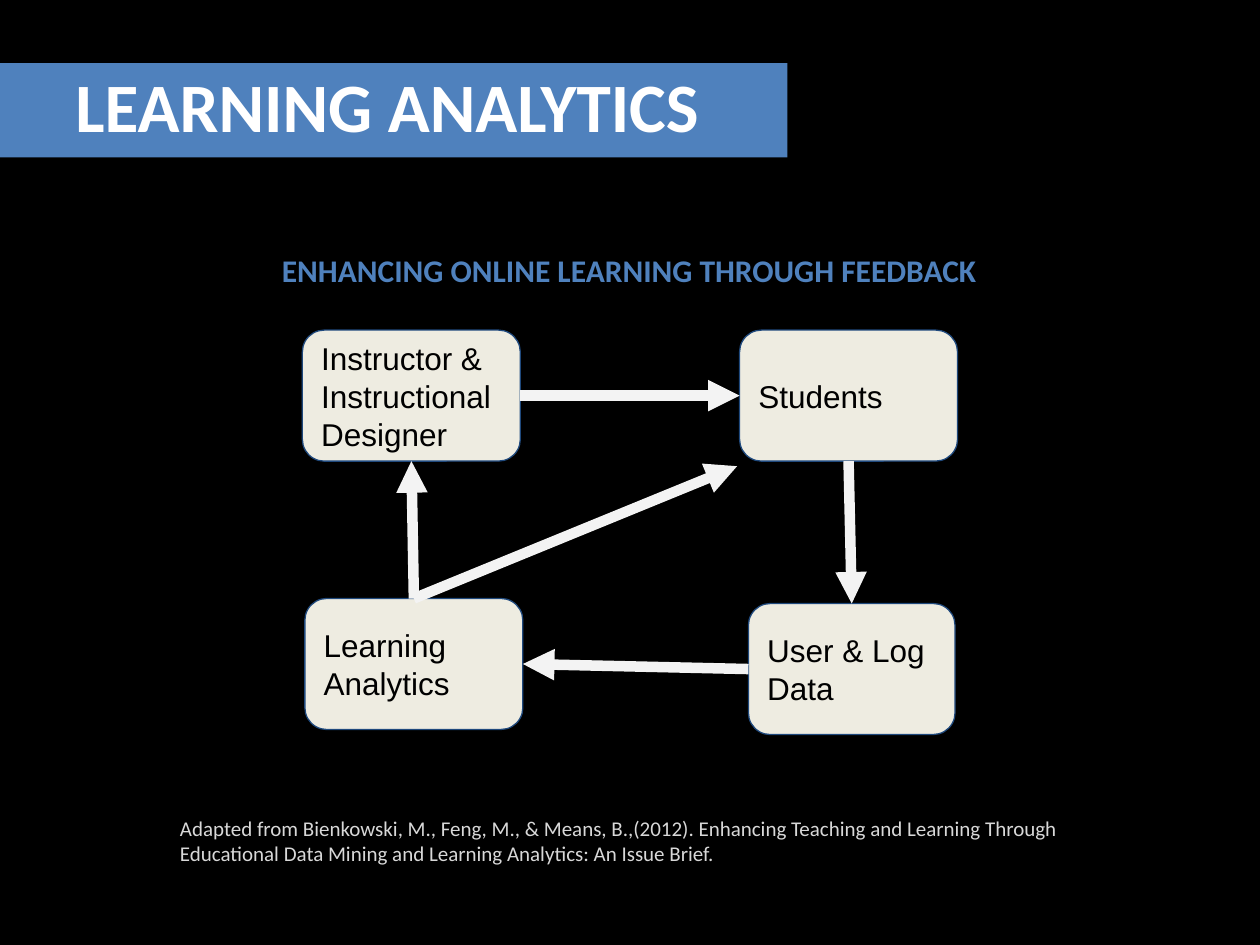
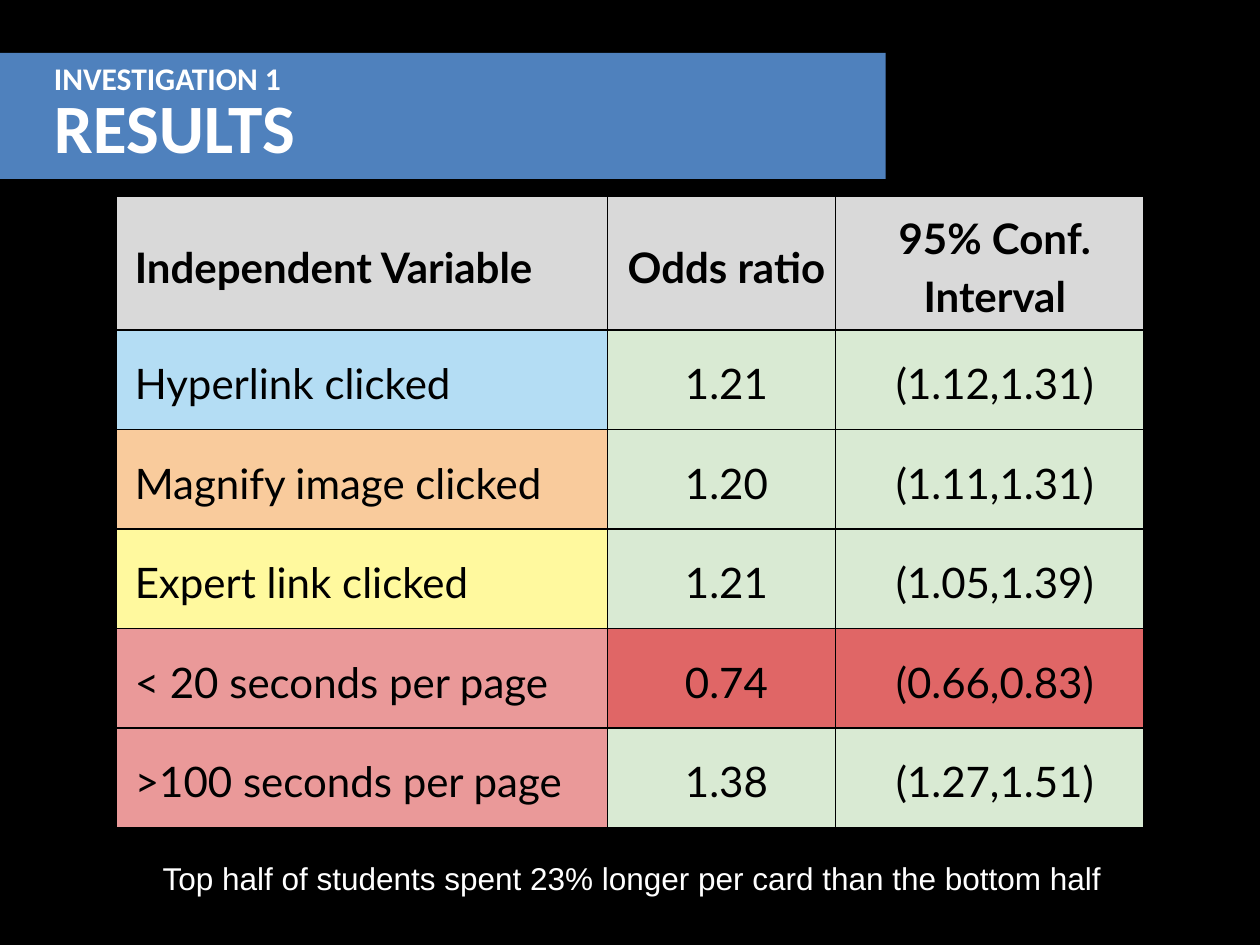
from dataclasses import dataclass
from typing import Any

from lxml import etree
from pptx import Presentation
from pptx.dml.color import RGBColor
from pptx.enum.shapes import MSO_CONNECTOR, MSO_SHAPE
from pptx.enum.text import MSO_ANCHOR, PP_ALIGN
from pptx.oxml.ns import qn
from pptx.util import Inches, Pt

RECTANGLE, ROUNDED = MSO_SHAPE.RECTANGLE, MSO_SHAPE.ROUNDED_RECTANGLE
STRAIGHT = MSO_CONNECTOR.STRAIGHT
TOP, MIDDLE = MSO_ANCHOR.TOP, MSO_ANCHOR.MIDDLE
LEFT, CENTER = PP_ALIGN.LEFT, PP_ALIGN.CENTER
# Connection sites of a rectangle
SITE_TOP, SITE_LEFT, SITE_BOTTOM, SITE_RIGHT = range(4)

BLACK = RGBColor(0x00, 0x00, 0x00)
WHITE = RGBColor(0xFF, 0xFF, 0xFF)
BLUE = RGBColor(0x4F, 0x81, 0xBD)
NAVY = RGBColor(0x1F, 0x49, 0x7D)
CREAM = RGBColor(0xEE, 0xEC, 0xE1)
ARROW_GREY = RGBColor(0xF3, 0xF3, 0xF3)
CITATION_GREY = RGBColor(0xD8, 0xD8, 0xD8)
HEADER_GREY = RGBColor(0xD9, 0xD9, 0xD9)
SKY = RGBColor(0xB4, 0xDD, 0xF4)
ORANGE = RGBColor(0xF9, 0xCB, 0x9C)
YELLOW = RGBColor(0xFF, 0xF9, 0x9E)
PINK = RGBColor(0xEA, 0x99, 0x99)
GREEN = RGBColor(0xD9, 0xEA, 0xD3)
RED = RGBColor(0xE0, 0x66, 0x66)


@dataclass(frozen=True)
class TextStyle:
    size: float
    font: str
    color: RGBColor
    bold: bool = False
    align: Any = LEFT


@dataclass(frozen=True)
class Box:
    left: float
    top: float
    width: float
    height: float

    def lengths(self) -> list:
        return [Inches(v) for v in (self.left, self.top, self.width, self.height)]


@dataclass(frozen=True)
class Step:
    text: str
    box: Box


@dataclass(frozen=True)
class Arrow:
    start: str
    start_site: int
    end: str
    end_site: int


@dataclass(frozen=True)
class ResultRow:
    variable: str
    odds: str
    interval: str
    variable_fill: RGBColor
    value_fill: RGBColor = GREEN


TITLE = TextStyle(39.6, "Calibri", WHITE, True)
KICKER = TextStyle(18, "Calibri", WHITE, True)
HEADING = TextStyle(18, "Calibri", BLUE, True, CENTER)
CITATION = TextStyle(12, "Calibri", CITATION_GREY)
STEP_TEXT = TextStyle(18, "Arial", BLACK)
FINDING = TextStyle(18, "Arial", WHITE, align=CENTER)

STEPS = {
    "instructor": Step("Instructor &\nInstructional Designer", Box(2.4, 2.62, 1.73, 1.04)),
    "students": Step("Students", Box(5.87, 2.62, 1.73, 1.04)),
    "data": Step("User & Log Data", Box(5.94, 4.79, 1.64, 1.04)),
    "analytics": Step("Learning Analytics", Box(2.42, 4.75, 1.73, 1.04)),
}
ARROWS = [
    Arrow("instructor", SITE_RIGHT, "students", SITE_LEFT),
    Arrow("students", SITE_BOTTOM, "data", SITE_TOP),
    Arrow("data", SITE_LEFT, "analytics", SITE_RIGHT),
    Arrow("analytics", SITE_TOP, "instructor", SITE_BOTTOM),
]
DIAGONAL_END = (5.85, 3.7)

COLUMN_WIDTHS = (3.9, 1.81, 2.45)
HEADER_HEIGHT, ROW_HEIGHT = 0.99, 0.79
RESULTS = [
    ResultRow("Independent Variable", "Odds ratio", "95% Conf. Interval", HEADER_GREY, HEADER_GREY),
    ResultRow("Hyperlink clicked", "1.21", "(1.12,1.31)", SKY),
    ResultRow("Magnify image clicked", "1.20", "(1.11,1.31)", ORANGE),
    ResultRow("Expert link clicked", "1.21", "(1.05,1.39)", YELLOW),
    ResultRow("< 20 seconds per page", "0.74", "(0.66,0.83)", PINK, RED),
    ResultRow(">100 seconds per page", "1.38", "(1.27,1.51)", PINK),
]


def set_values(target: Any, values: dict) -> None:
    for name, value in values.items():
        setattr(target, name, value)


def margins(side: float, vertical: float) -> dict:
    return {"margin_left": Inches(side), "margin_right": Inches(side),
            "margin_top": Inches(vertical), "margin_bottom": Inches(vertical)}


def write(frame: Any, text: str, style: TextStyle) -> None:
    frame.text = text
    for paragraph in frame.paragraphs:
        paragraph.alignment = style.align
        font = paragraph.runs[0].font
        set_values(font, {"size": Pt(style.size), "name": style.font, "bold": style.bold})
        font.color.rgb = style.color


def add_text(slide: Any, box: Box, text: str, style: TextStyle,
             anchor: Any = TOP, vertical: float = 0.05) -> None:
    frame = slide.shapes.add_textbox(*box.lengths()).text_frame
    set_values(frame, {"word_wrap": True, "vertical_anchor": anchor, **margins(0.1, vertical)})
    write(frame, text, style)


def add_filled(slide: Any, kind: Any, box: Box, fill: RGBColor) -> Any:
    shape = slide.shapes.add_shape(kind, *box.lengths())
    shape.shadow.inherit = False
    shape.fill.solid()
    shape.fill.fore_color.rgb = fill
    shape.line.fill.background()
    return shape


def add_slide(presentation: Any, band: Box, title: str, title_box: Box) -> Any:
    """Black slide with a blue title band running in from the left edge."""
    slide = presentation.slides.add_slide(presentation.slide_layouts[6])
    slide.background.fill.solid()
    slide.background.fill.fore_color.rgb = BLACK
    add_filled(slide, RECTANGLE, band, BLUE)
    add_text(slide, title_box, title, TITLE, MIDDLE)
    return slide


def add_step(slide: Any, step: Step) -> Any:
    shape = add_filled(slide, ROUNDED, step.box, CREAM)
    shape.line.color.rgb = NAVY
    shape.line.width = Pt(0.75)
    set_values(shape.text_frame,
               {"word_wrap": True, "vertical_anchor": MIDDLE, **margins(0.1, 0.1)})
    write(shape.text_frame, step.text, STEP_TEXT)
    return shape


def add_arrow(slide: Any, start: Any, start_site: int) -> Any:
    end = [Inches(value) for value in DIAGONAL_END]
    connector = slide.shapes.add_connector(STRAIGHT, 0, 0, *end)
    connector.begin_connect(start, start_site)
    connector.line.color.rgb = ARROW_GREY
    connector.line.width = Pt(6)
    etree.SubElement(connector.line._get_or_add_ln(), qn("a:tailEnd"), type="triangle")
    etree.SubElement(connector._element.spPr, qn("a:effectLst"))
    return connector


def add_borders(cell: Any) -> None:
    properties = cell._tc.get_or_add_tcPr()
    for position, side in enumerate(("lnL", "lnR", "lnT", "lnB")):
        line = etree.Element(qn(f"a:{side}"), w=str(Pt(1)))
        fill = etree.SubElement(line, qn("a:solidFill"))
        etree.SubElement(fill, qn("a:srgbClr"), val=str(BLACK))
        properties.insert(position, line)


def fill_cell(cell: Any, text: str, fill: RGBColor, header: bool, first: bool) -> None:
    inset = 0.07 if header or first else 0.03
    set_values(cell, {"vertical_anchor": MIDDLE, **margins(inset, inset)})
    cell.fill.solid()
    cell.fill.fore_color.rgb = fill
    write(cell.text_frame, text,
          TextStyle(24, "Lato", BLACK, header, LEFT if first else CENTER))
    paragraph = cell.text_frame.paragraphs[0]
    paragraph.line_spacing = 1.15
    paragraph._p.get_or_add_pPr().set("marL", str(Inches(0.08)))
    add_borders(cell)


def add_results_table(slide: Any) -> None:
    heights = [HEADER_HEIGHT] + [ROW_HEIGHT] * (len(RESULTS) - 1)
    box = Box(0.92, 1.56, sum(COLUMN_WIDTHS), sum(heights))
    table = slide.shapes.add_table(len(RESULTS), len(COLUMN_WIDTHS), *box.lengths()).table
    set_values(table, {"first_row": False, "horz_banding": False})
    for column, width in zip(table.columns, COLUMN_WIDTHS):
        column.width = Inches(width)
    for index, (row, height, result) in enumerate(zip(table.rows, heights, RESULTS)):
        row.height = Inches(height)
        texts = (result.variable, result.odds, result.interval)
        for position, (cell, text) in enumerate(zip(row.cells, texts)):
            first = position == 0
            fill = result.variable_fill if first else result.value_fill
            fill_cell(cell, text, fill, index == 0, first)


def build_analytics_slide(presentation: Any) -> None:
    slide = add_slide(presentation, Box(0, 0.5, 6.25, 0.75),
                      "LEARNING ANALYTICS", Box(0.5, 0.42, 5.65, 0.83))
    add_text(slide, Box(1.33, 1.94, 7.33, 0.5),
             "ENHANCING ONLINE LEARNING THROUGH FEEDBACK", HEADING)
    # Feedback cycle
    shapes = {name: add_step(slide, step) for name, step in STEPS.items()}
    for arrow in ARROWS:
        connector = add_arrow(slide, shapes[arrow.start], arrow.start_site)
        connector.end_connect(shapes[arrow.end], arrow.end_site)
    # Direct feedback from analytics to the students' corner
    add_arrow(slide, shapes["analytics"], SITE_TOP)
    add_text(slide, Box(1.33, 6.42, 7.42, 0.5),
             "Adapted from Bienkowski, M., Feng, M., & Means, B.,(2012). Enhancing Teaching "
             "and Learning Through Educational Data Mining and Learning Analytics: "
             "An Issue Brief.", CITATION)


def build_results_slide(presentation: Any) -> None:
    slide = add_slide(presentation, Box(0, 0.42, 7.03, 1),
                      "RESULTS", Box(0.33, 0.58, 6.31, 0.83))
    add_text(slide, Box(0.33, 0.42, 3.03, 0.4), "INVESTIGATION 1", KICKER)
    add_results_table(slide)
    add_text(slide, Box(0.88, 6.72, 8.27, 0.69),
             "Top half of students spent 23% longer per card than the bottom half",
             FINDING, vertical=0.1)


def main() -> None:
    presentation = Presentation()
    set_values(presentation, {"slide_width": Inches(10), "slide_height": Inches(7.5)})
    build_analytics_slide(presentation)
    build_results_slide(presentation)
    presentation.save("out.pptx")


if __name__ == "__main__":
    main()
